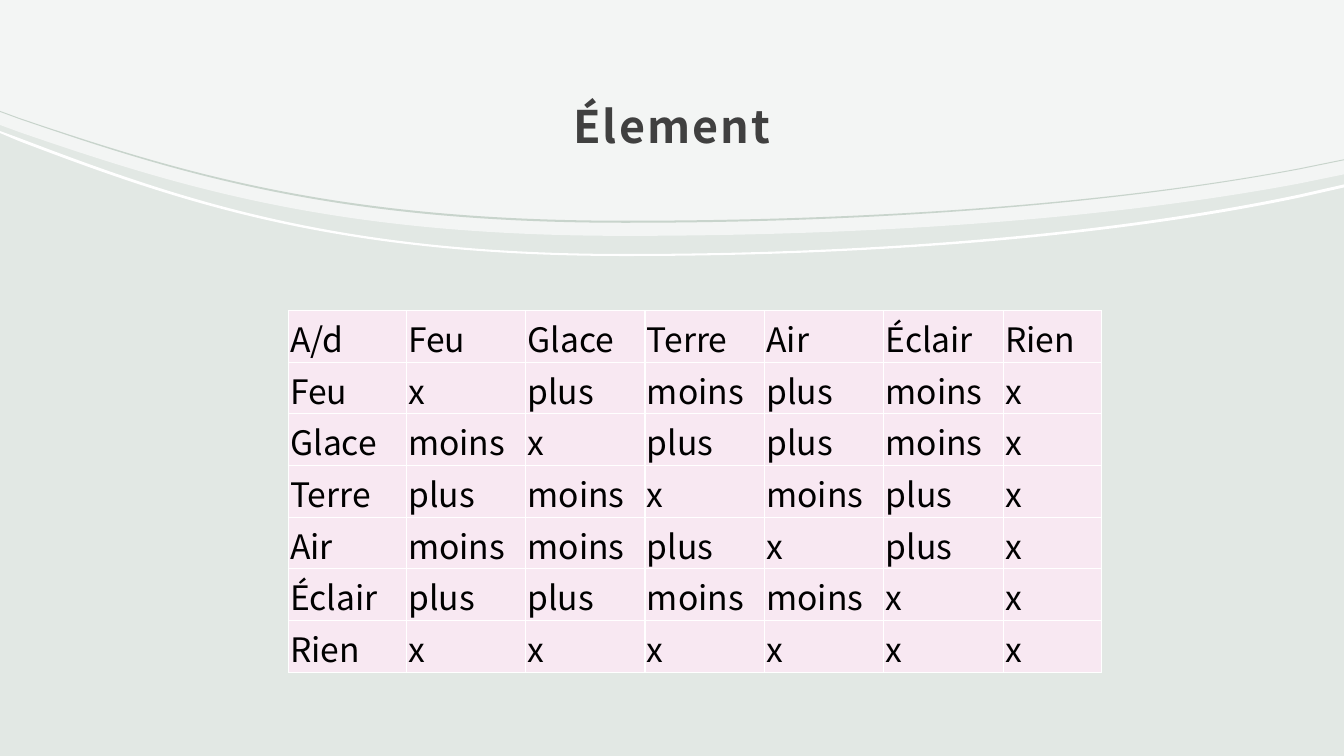
from dataclasses import dataclass

from lxml import etree
from pptx import Presentation
from pptx import util as u
from pptx.dml import color
from pptx.enum import text
from pptx.oxml import ns


@dataclass(frozen=True)
class Theme:
    font: str = "Noto Sans CJK JP"
    background: str = "E2E8E4"
    white: str = "FFFFFF"
    gray: str = "C8D4CC"
    heading: str = "404040"
    body: str = "000000"
    cell: str = "F8E8F2"
    heading_size: int = 32
    body_size: int = 24


WIDTH, HEIGHT = 13.33, 7.5
WAVE_X = (0, 0.19, 1.79, 3.33, 6.2, 8.75, 11.09, 12.89, WIDTH)
CURVE_OFFSETS = (2, 5)
TOP_EDGE = ((0, 0), (WIDTH, 0))
HEADER_WAVE = (1.24, 1.31, 1.86, 2.34, 2.34, 2.34, 2.16, 1.82, 1.73)
WHITE_UPPER = (1.3, 1.37, 1.98, 2.52, 2.52, 2.52, 2.31, 1.93, 1.83)
WHITE_LOWER = (1.32, 1.4, 2.01, 2.54, 2.54, 2.54, 2.34, 1.96, 1.86)
GRAY_UPPER = (1.1, 1.17, 1.71, 2.19, 2.19, 2.19, 2.01, 1.67, 1.58)
GRAY_LOWER = (1.11, 1.18, 1.73, 2.21, 2.21, 2.21, 2.02, 1.68, 1.59)

TABLE_WIDTH, FIRST_COLUMN, LAST_COLUMN = 8.07, 1.17, 0.98
MIDDLE_COLUMN = (TABLE_WIDTH - FIRST_COLUMN - LAST_COLUMN) / 5
COLUMN_WIDTHS = (FIRST_COLUMN, *[MIDDLE_COLUMN] * 5, LAST_COLUMN)
ELEMENT_ROWS = (
    "A/d Feu Glace Terre Air Éclair Rien",
    "Feu x plus moins plus moins x",
    "Glace moins x plus plus moins x",
    "Terre plus moins x moins plus x",
    "Air moins moins plus x plus x",
    "Éclair plus plus moins moins x x",
    "Rien x x x x x x",
)


def wave(heights):
    return tuple(zip(WAVE_X, heights))


def bend(shape, curve_starts):
    lines = shape._element.findall(".//" + ns.qn("a:lnTo"))
    for start in curve_starts:
        curve = etree.Element(ns.qn("a:cubicBezTo"))
        controls = lines[start - 1:start + 2]
        controls[0].addprevious(curve)
        for line in controls:
            curve.append(line[0])
            line.getparent().remove(line)


def write_text(frame, value, *, font, size, ink, bold=False, spacing=0,
               align=text.PP_ALIGN.LEFT, line_spacing=None):
    paragraph = frame.paragraphs[0]
    paragraph.alignment = align
    paragraph.line_spacing = line_spacing
    run = paragraph.add_run()
    run.text = value
    run.font.name = font
    run.font.size = u.Pt(size)
    run.font.bold = bold
    run.font.color.rgb = color.RGBColor.from_string(ink)
    if spacing:
        run.font._element.set("spc", str(round(spacing * 100)))


def set_margins(target, left, top, right, bottom):
    target.margin_left = u.Inches(left)
    target.margin_top = u.Inches(top)
    target.margin_right = u.Inches(right)
    target.margin_bottom = u.Inches(bottom)


class SlideBuilder:
    def __init__(self, slide, theme):
        self.slide = slide
        self.theme = theme

    def paint(self, fill, shade, opacity=100):
        fill.solid()
        fill.fore_color.rgb = color.RGBColor.from_string(shade)
        if opacity < 100:
            rgb = fill._xPr.find(".//" + ns.qn("a:srgbClr"))
            etree.SubElement(rgb, ns.qn("a:alpha"), val=str(opacity * 1000))

    def background(self):
        self.paint(self.slide.background.fill, self.theme.background)

    def band(self, upper, lower, shade, opacity=100):
        outline = [
            (u.Inches(x), u.Inches(y)) for x, y in (*upper, *reversed(lower))
        ]
        builder = self.slide.shapes.build_freeform(*outline[0])
        builder.add_line_segments(outline[1:], close=True)
        shape = builder.convert_to_shape()
        wave_starts = [0, len(upper)] if len(upper) == len(lower) else [len(upper)]
        bend(shape, [first + offset for first in wave_starts for offset in CURVE_OFFSETS])
        shape.shadow.inherit = False
        shape.line.fill.background()
        self.paint(shape.fill, shade, opacity)

    def title(self, value, left, top, width, height):
        shape = self.slide.shapes.add_textbox(
            u.Inches(left), u.Inches(top), u.Inches(width), u.Inches(height))
        frame = shape.text_frame
        frame.word_wrap = True
        frame.vertical_anchor = text.MSO_ANCHOR.MIDDLE
        set_margins(frame, 0.12, 0.12, 0.12, 0.1)
        write_text(frame, value, font=self.theme.font, size=self.theme.heading_size,
                   ink=self.theme.heading, bold=True, spacing=1.5,
                   align=text.PP_ALIGN.CENTER, line_spacing=1.3)

    def cell_borders(self, cell, points):
        properties = cell._tc.get_or_add_tcPr()
        for side in ("lnL", "lnR", "lnT", "lnB"):
            line = etree.SubElement(
                properties, ns.qn(f"a:{side}"), w=str(u.Pt(points)))
            fill = etree.SubElement(line, ns.qn("a:solidFill"))
            etree.SubElement(fill, ns.qn("a:srgbClr"), val=self.theme.white)

    def table(self, rows, column_widths, left, top, height):
        table = self.slide.shapes.add_table(
            len(rows), len(column_widths), u.Inches(left), u.Inches(top),
            u.Inches(sum(column_widths)), u.Inches(height)).table
        table.first_row = False
        table.horz_banding = False
        for column, width in zip(table.columns, column_widths):
            column.width = u.Inches(width)
        for row, values in zip(table.rows, rows):
            for cell, value in zip(row.cells, values.split()):
                self.cell_borders(cell, 1)
                self.paint(cell.fill, self.theme.cell)
                cell.vertical_anchor = text.MSO_ANCHOR.BOTTOM
                set_margins(cell, 0.02, 0.02, 0.02, 0)
                write_text(cell.text_frame, value, font=self.theme.font,
                           size=self.theme.body_size, ink=self.theme.body)


def main():
    presentation = Presentation()
    presentation.slide_width = u.Inches(WIDTH)
    presentation.slide_height = u.Inches(HEIGHT)
    slide = presentation.slides.add_slide(presentation.slide_layouts[6])
    theme = Theme()
    builder = SlideBuilder(slide, theme)
    builder.background()
    builder.band(TOP_EDGE, wave(HEADER_WAVE), theme.white, opacity=60)
    builder.band(wave(WHITE_UPPER), wave(WHITE_LOWER), theme.white)
    builder.title("Élement", 1.33, 0.59, 10.67, 1.14)
    builder.band(wave(GRAY_UPPER), wave(GRAY_LOWER), theme.gray)
    builder.table(ELEMENT_ROWS, COLUMN_WIDTHS, 2.86, 3.08, 3.59)
    presentation.save("out.pptx")


if __name__ == "__main__":
    main()
